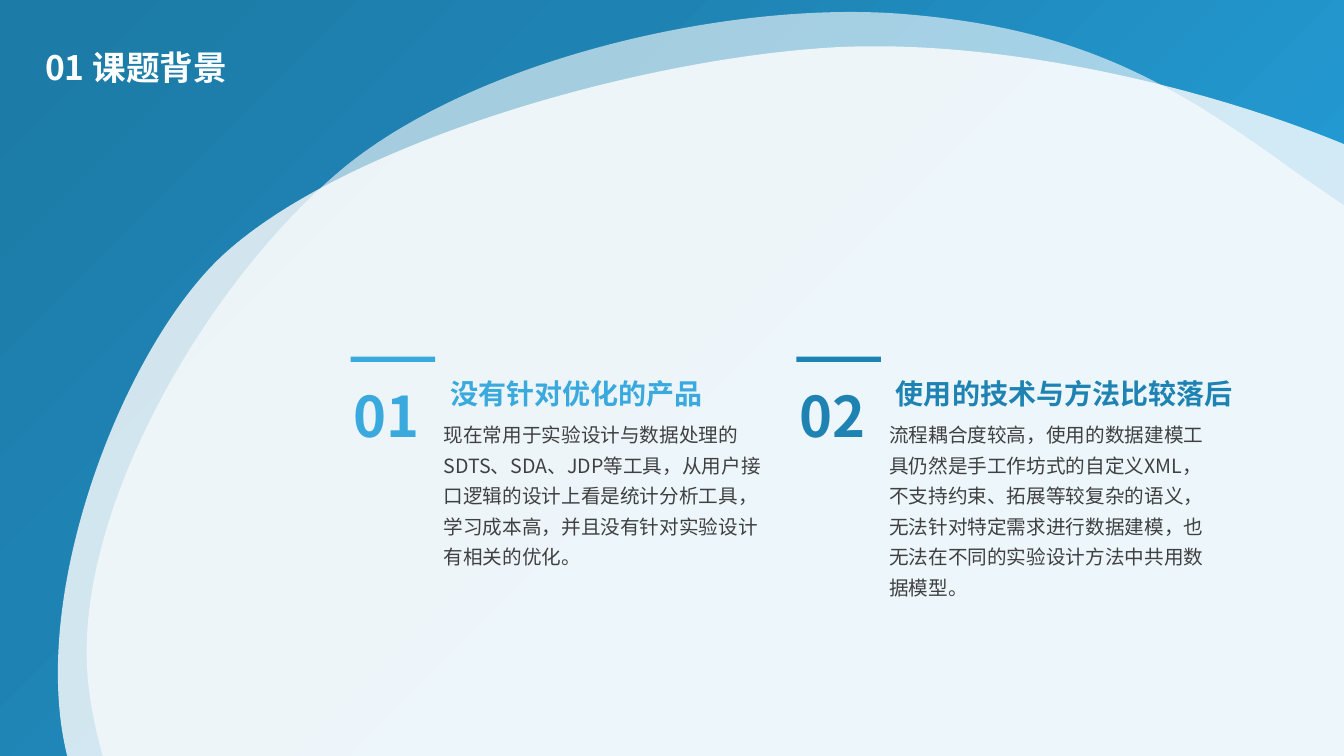
import lxml.etree
import pptx
import pptx.dml.color
import pptx.enum.shapes
import pptx.enum.text
import pptx.oxml
import pptx.oxml.ns
import pptx.util

Cm = pptx.util.Cm
qn = pptx.oxml.ns.qn
FONT = "Noto Sans CJK SC"
COLORS = {
    "white": "FFFFFF",
    "sky": "39A9DE",
    "blue": "1E83B3",
    "text": "404040",
    "light": "239CD5",
    "deep": "1C7BA7",
}
STOPS = [(0, "light"), (23, "light"), (69, "blue"), (97, "deep")]
WIDE, HIGH = 33.87, 19.05
UNIT = 100

BLOBS = [
    (60, (12.72, 1.61), [
        (11.55, 0.77, 10.65, 0.28, 8.98, 0.14),
        (7.31, 0, 4.8, 0.55, 3.44, 1.64),
        (2.09, 2.74, 0.73, 5.04, 0.87, 6.71),
        (1, 8.38, 2.89, 12.02, 4.86, 12.92),
        (6.83, 13.81, 12.43, 13.78, 14.29, 12.49),
        (16.15, 11.21, 16.14, 6.87, 16.01, 5.2),
        (15.87, 3.53, 13.89, 2.46, 12.72, 1.61),
    ]),
    (80, (16.53, 4.46), [
        (16.12, 3.42, 15.7, 2.72, 14.32, 1.91),
        (12.94, 1.1, 10.29, 0.36, 8.27, 0.47),
        (6.24, 0.59, 3.29, 1.47, 2.15, 2.59),
        (1.02, 3.71, -0.06, 6.84, 1.02, 8.27),
        (2.09, 9.69, 7.09, 12.09, 9.71, 12.07),
        (12.33, 12.06, 15.6, 9.29, 16.74, 8.17),
        (17.88, 7.05, 16.93, 5.51, 16.53, 4.46),
    ]),
]

POINTS = [
    ("01", "没有针对优化的产品", "sky", 8.84, 6.93, 8.64, 4.06,
     "现在常用于实验设计与数据处理的SDTS、SDA、JDP等工具，从用户接口逻辑的设计上看是统计分析工具，"
     "学习成本高，并且没有针对实验设计有相关的优化。"),
    ("02", "使用的技术与方法比较落后", "blue", 20.07, 9.07, 8.51, 4.85,
     "流程耦合度较高，使用的数据建模工具仍然是手工作坊式的自定义XML，不支持约束、拓展等较复杂的语义，"
     "无法针对特定需求进行数据建模，也无法在不同的实验设计方法中共用数据模型。"),
]


def rgb(key):
    return pptx.dml.color.RGBColor.from_string(COLORS[key])


def paint(shape, color):
    shape.shadow.inherit = False
    shape.line.fill.background()
    shape.fill.solid()
    shape.fill.fore_color.rgb = rgb(color)


def bar(slide, x, y, w, h, color):
    kind = pptx.enum.shapes.MSO_SHAPE.RECTANGLE
    shape = slide.shapes.add_shape(kind, Cm(x), Cm(y), Cm(w), Cm(h))
    paint(shape, color)
    return shape


def write(slide, x, y, w, h, text, size, color, bold=True, wrap=False, gap=1.3):
    box = slide.shapes.add_textbox(Cm(x), Cm(y), Cm(w), Cm(h))
    frame = box.text_frame
    frame.text = text
    frame.word_wrap = wrap
    para = frame.paragraphs[0]
    para.line_spacing = gap
    font = para.runs[0].font
    font.name = FONT
    font.size = pptx.util.Pt(size)
    font.bold = bold
    font.color.rgb = rgb(color)
    props = para.runs[0]._r.get_or_add_rPr()
    lxml.etree.SubElement(props, qn("a:ea")).set("typeface", FONT)
    return frame


def bend(shape, start, parts):
    ends = [start] + [part[4:] for part in parts]
    left = min(x for x, y in ends)
    top = min(y for x, y in ends)
    lines = list(shape._element.iter(qn("a:lnTo")))
    for line, part in zip(lines, parts):
        cubic = lxml.etree.Element(qn("a:cubicBezTo"))
        for x, y in zip(part[::2], part[1::2]):
            dot = lxml.etree.SubElement(cubic, qn("a:pt"))
            dot.set("x", str(round((x - left) * UNIT)))
            dot.set("y", str(round((y - top) * UNIT)))
        line.getparent().replace(line, cubic)


def blob(slide, alpha, start, parts):
    dots = [(round(x * UNIT), round(y * UNIT)) for x, y in [start] + [p[4:] for p in parts]]
    pen = slide.shapes.build_freeform(*dots[0], scale=Cm(2.54) / UNIT)
    pen.add_line_segments(dots[1:], close=True)
    shape = pen.convert_to_shape()
    bend(shape, start, parts)
    paint(shape, "white")
    tint = shape._element.spPr.find(qn("a:solidFill")).find(qn("a:srgbClr"))
    lxml.etree.SubElement(tint, qn("a:alpha")).set("val", str(alpha * 1000))


def backdrop(slide, x, y, w, h):
    shape = bar(slide, x, y, w, h, "blue")
    stops = "".join(
        f'<a:gs pos="{pos * 1000}"><a:srgbClr val="{COLORS[key]}"/></a:gs>'
        for pos, key in STOPS
    )
    grad = pptx.oxml.parse_xml(
        f'<a:gradFill {pptx.oxml.ns.nsdecls("a")} rotWithShape="1">'
        f'<a:gsLst>{stops}</a:gsLst><a:lin ang="13500000" scaled="0"/></a:gradFill>'
    )
    props = shape._element.spPr
    props.replace(props.find(qn("a:solidFill")), grad)
    for alpha, start, parts in BLOBS:
        blob(slide, alpha, start, parts)


def title(slide, x, y, w, h):
    frame = write(slide, x, y, w, h, "01 课题背景", 24, "white", wrap=True, gap=0.9)
    frame.vertical_anchor = pptx.enum.text.MSO_ANCHOR.MIDDLE


def point(slide, x, y, num, head, color, headw, w, h, body):
    bar(slide, x, y, 2.13, 0.13, color)
    write(slide, x + 2.09, y + 1.37, w, h, body, 14, "text", bold=False, wrap=True)
    write(slide, x + 2.26, y + 0.13, headw, 1.27, head, 20, color)
    write(slide, x - 0.17, y, 2.26, 2.49, num, 40, color)


def main():
    deck = pptx.Presentation()
    deck.slide_width, deck.slide_height = Cm(WIDE), Cm(HIGH)
    slide = deck.slides.add_slide(deck.slide_layouts[6])
    backdrop(slide, 0, 0, WIDE, HIGH)
    title(slide, 0.89, 0.74, 14.73, 2.01)
    for num, head, color, x, headw, w, h, body in POINTS:
        point(slide, x, 8.99, num, head, color, headw, w, h, body)
    deck.save("out.pptx")


if __name__ == "__main__":
    main()
